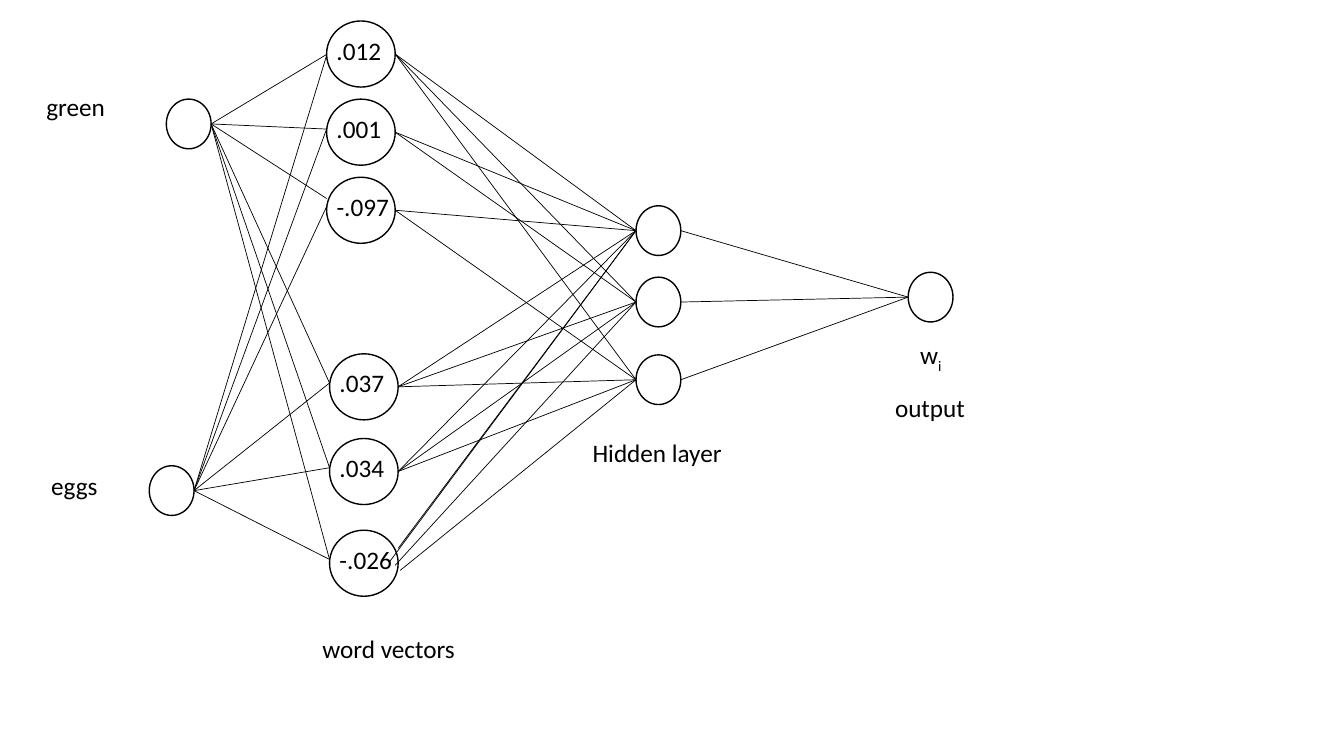
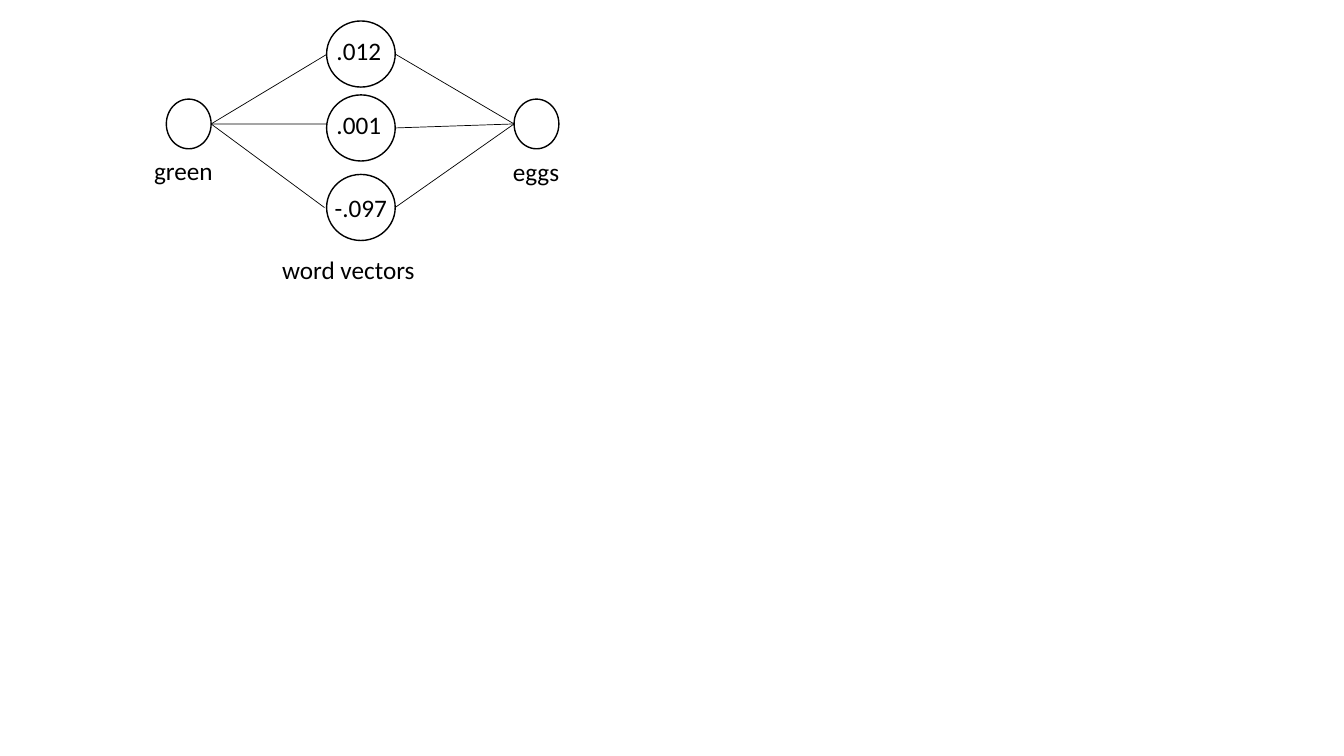
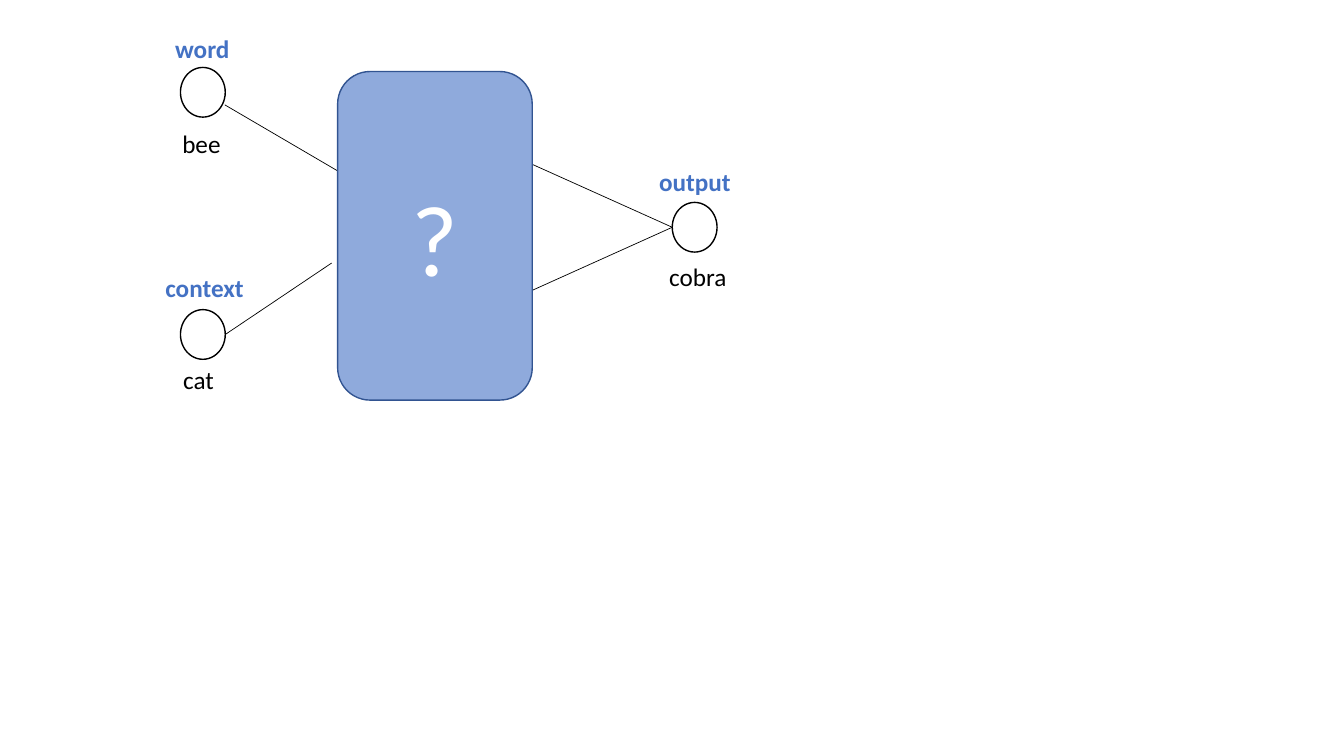
from itertools import product
from lxml.etree import SubElement
from pptx import Presentation
from pptx.dml.color import RGBColor
from pptx.enum.shapes import MSO_CONNECTOR as Link, MSO_SHAPE as Kind
from pptx.enum.text import MSO_ANCHOR as Anchor, PP_ALIGN as Align
from pptx.oxml.ns import qn
from pptx.util import Pt

BLACK = RGBColor(0x00, 0x00, 0x00)
WHITE = RGBColor(0xFF, 0xFF, 0xFF)
BLUE = RGBColor(0x44, 0x72, 0xC4)
PALE = RGBColor(0x8F, 0xAA, 0xDC)
EDGE = RGBColor(0x32, 0x54, 0x91)
FONT = "Calibri"
DOT_W, DOT_H = 32, 35.5
CELL_W, CELL_H = 49, 47.2
TEXT_H = 29


class Board:
    """Draws parts relative to the top left corner of a region."""

    def __init__(self, slide, left, top):
        """Keep the slide's shapes and the corner."""
        self.shapes, self.left, self.top = slide.shapes, left, top

    def place(self, x, y):
        """Turn a point of the region into a point of the slide."""
        return Pt(self.left + x), Pt(self.top + y)

    def form(self, kind, x, y, wide, high, color=BLACK):
        """Add an unfilled outlined shape."""
        form = self.shapes.add_shape(kind, *self.place(x, y), Pt(wide), Pt(high))
        form.shadow.inherit = False
        form.fill.background()
        form.line.color.rgb = color
        form.line.width = Pt(1)
        return form

    def label(self, text, x, y, wide, color=BLACK, bold=False, wrap=False):
        """Add a line of text and return its paragraph."""
        box = self.shapes.add_textbox(*self.place(x, y), Pt(wide), Pt(TEXT_H))
        box.text_frame.word_wrap = wrap
        para = box.text_frame.paragraphs[0]
        para.text = text
        style(para.font, 18, color, bold)
        return para

    def dot(self, x, y):
        """Add a neuron and return its left and right ports."""
        self.form(Kind.OVAL, x, y, DOT_W, DOT_H)
        mid = y + DOT_H / 2
        return (x, mid), (x + DOT_W, mid)

    def cell(self, text, x, y, dx=0, dy=6.4):
        """Add a circled number and return its right port."""
        self.form(Kind.OVAL, x, y, CELL_W, CELL_H)
        wide = 59 if text.startswith("-") else 47
        self.label(text, x + dx, y + dy, wide, wrap=True)
        return x + CELL_W, y + CELL_H / 2

    def fan(self, starts, ends):
        """Join every start to every end."""
        for start, end in product(starts, ends):
            line = self.shapes.add_connector(
                Link.STRAIGHT, *self.place(*start), *self.place(*end))
            line.line.color.rgb = BLACK
            line.line.width = Pt(0.5)
            SubElement(line.element.spPr, qn("a:effectLst"))


def style(font, size, color, bold=False):
    """Set the shared typeface with a size, colour and weight."""
    font.name, font.size, font.bold = FONT, Pt(size), bold
    font.color.rgb = color


def draw_net(slide, left, top):
    """Draw the two-word network with a hidden layer."""
    board = Board(slide, left, top)
    board.label("green", 0, 47, 57)
    board.label("eggs", 3.5, 317.6, 48)
    green = board.dot(92.8, 55.8)[1]
    eggs = board.dot(80.6, 317.7)[1]

    near, far = 207.3, 209.4
    tops = (237.7, 298.2, 363.7)
    first = [board.cell(text, near, 55.8 * row)
             for row, text in enumerate((".012", ".001", "-.097"))]
    second = [board.cell(text, far, y)
              for text, y in zip((".037", ".034", "-.026"), tops)]
    low = [(far, y + 20.9) for y in tops]
    board.fan([green], [(near, y) for y in (23.9, 77.2, 126.8)] + low)
    board.fan([eggs], [(near, y) for y in (24.6, 77.2, 132.6)] + low)

    hidden = [board.dot(428.3, y) for y in (132, 183, 238.5)]
    goal = board.dot(622.7, 179.5)[0]
    shared = [first[0], *second[:2]]
    feeds = (
        [*shared, first[1], first[2], (251.9, 386.8), (258.4, 376.7)],
        [*shared, first[1], (256.2, 388.9)],
        [*shared, first[2], (259.8, 392.5)],
    )
    for starts, (inlet, outlet) in zip(feeds, hidden):
        board.fan(starts, [inlet])
        board.fan([outlet], [goal])

    board.label("word vectors", 197.2, 433.6, 110)
    board.label("Hidden layer", 390.2, 293.9, 108)
    sub = board.label("w", 624.2, 224, 30).add_run()
    sub.text = "i"
    sub.font._element.set("baseline", "-25000")
    board.label("output", 606.2, 261.5, 65)


def draw_pair(slide, left, top):
    """Draw one word predicting the next through its vector."""
    board = Board(slide, left, top)
    board.label("green", 0, 92.3, 57)
    board.label("eggs", 256.3, 93, 48)
    col = 130.3
    exits = [board.cell(".012", col, 0), board.cell(".001", col, 52.8),
             board.cell("-.097", col, 109.6, -1.4, 9.4)]
    start = board.dot(15.8, 55.8)[1]
    goal = board.dot(264.2, 55.8)[0]
    board.fan([start], [(col, 23.9), (col, 73.6), (128.8, 133.3)])
    board.fan(exits, [goal])
    board.label("word vectors", 91.4, 162.8, 110)


def draw_quiz(slide, left, top):
    """Draw the unknown model between word, context and output."""
    board = Board(slide, left, top)
    for text, x, y, wide in (("bee", 12.1, 67.8, 42.5), ("cat", 12.8, 237, 36.7),
                             ("cobra", 359.9, 162.9, 56)):
        board.label(text, x, y, wide)
    board.dot(17.9, 28.2)
    context = board.dot(17.9, 201.2)[1]
    goal = board.dot(369.2, 124.6)[0]
    board.fan([(269.2, 97.4), (269.2, 187.4)], [goal])
    board.fan([(49.6, 54.9)], [(134.5, 104.6)])
    board.fan([context], [(125.9, 167.9)])

    block = board.form(Kind.ROUNDED_RECTANGLE, 130.2, 31.1, 139, 234.7, EDGE)
    block.fill.solid()
    block.fill.fore_color.rgb = PALE
    block.text_frame.vertical_anchor = Anchor.MIDDLE
    para = block.text_frame.paragraphs[0]
    para.text = "?"
    para.alignment = Align.CENTER
    style(para.font, 72, WHITE)

    for text, x, y, wide in (("word", 7.1, 0.2, 53.3), ("context", 0, 170.8, 70.6),
                             ("output", 352.7, 95.2, 66.2)):
        board.label(text, x, y, wide, BLUE, True)


def main():
    """Build the deck."""
    deck = Presentation()
    deck.slide_width, deck.slide_height = Pt(960), Pt(540)
    blank = deck.slide_layouts[6]
    for draw, left, top in ((draw_net, 26, 15), (draw_pair, 103, 15),
                            (draw_quiz, 111, 20)):
        draw(deck.slides.add_slide(blank), left, top)
    deck.save("out.pptx")


if __name__ == "__main__":
    main()
